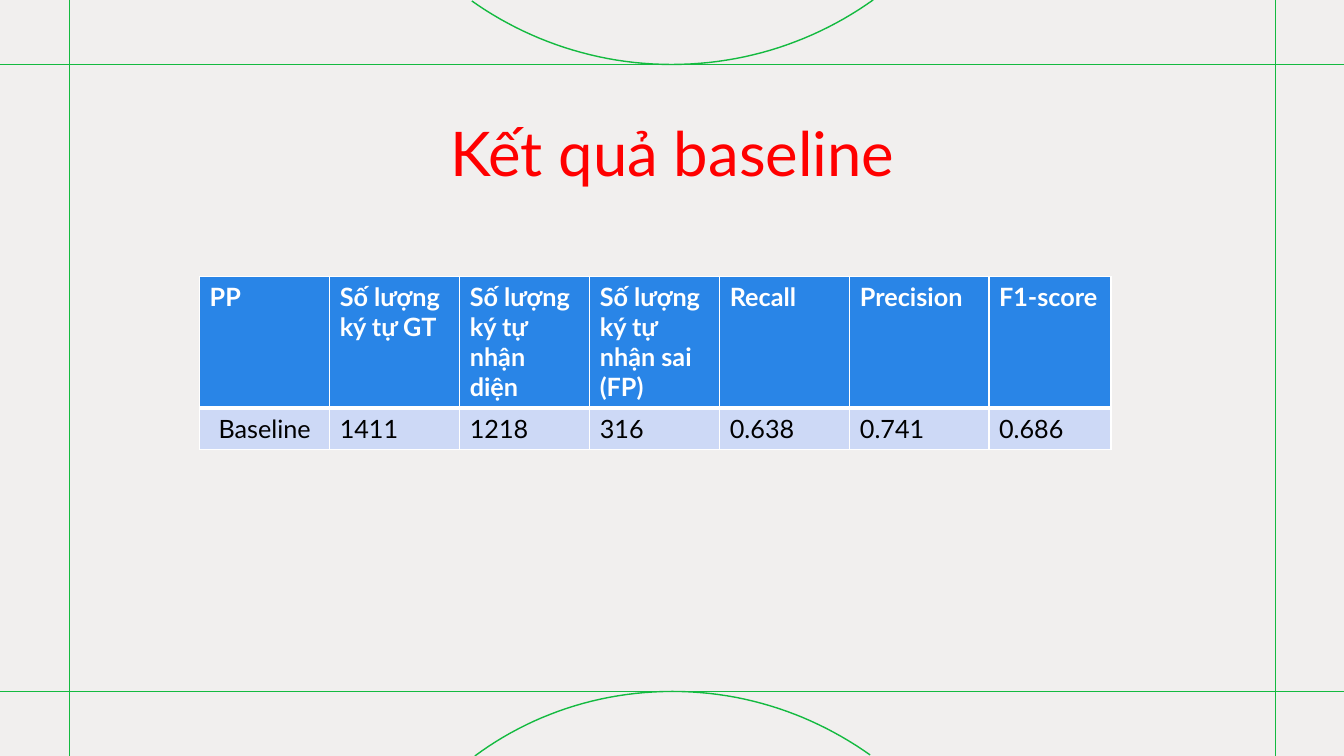
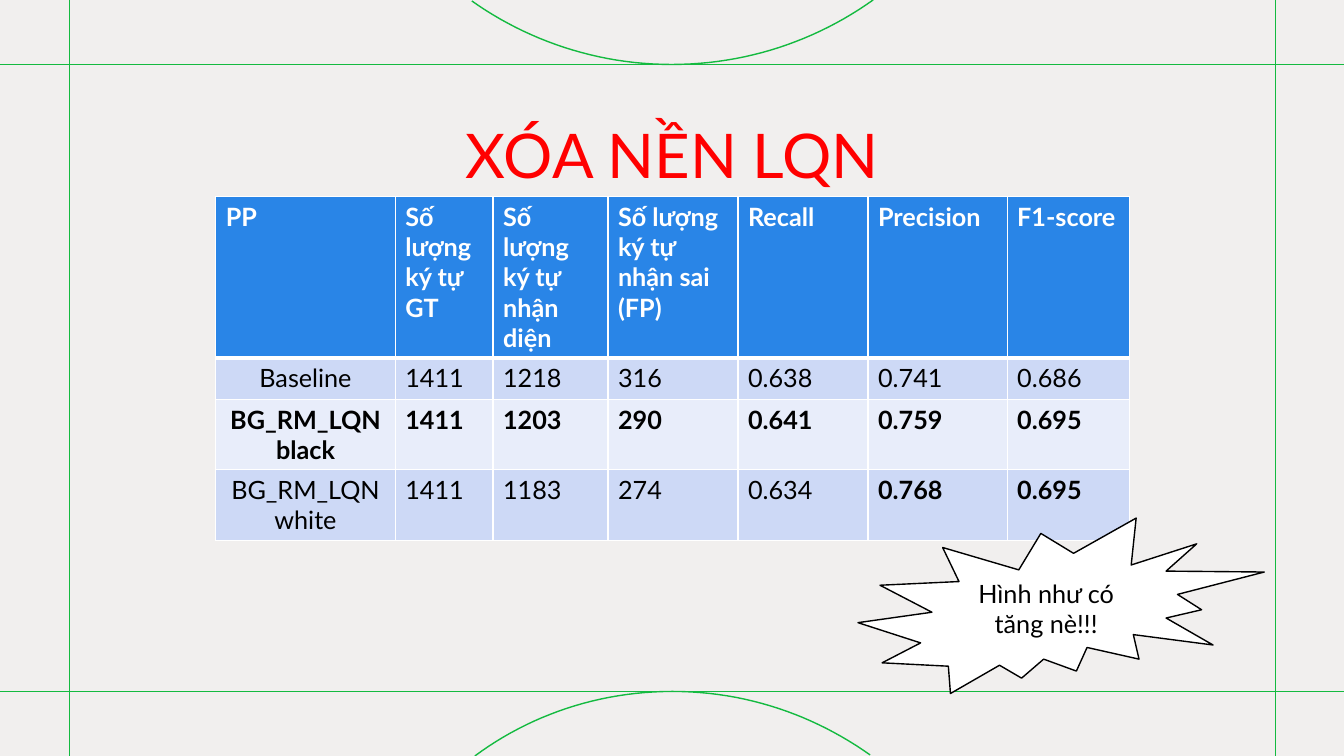
from lxml import etree
from pptx import Presentation
from pptx.dml.color import RGBColor
from pptx.enum.shapes import MSO_CONNECTOR, MSO_SHAPE
from pptx.enum.text import MSO_ANCHOR, PP_ALIGN
from pptx.oxml.ns import qn
from pptx.util import Inches, Pt

PAPER = RGBColor(0xF1, 0xEF, 0xEE)
GREEN = RGBColor(0x14, 0xBA, 0x40)
RED = RGBColor(0xFF, 0x00, 0x00)
BLUE = RGBColor(0x29, 0x85, 0xE7)
BAND_DARK = RGBColor(0xCD, 0xD9, 0xF6)
BAND_LIGHT = RGBColor(0xE8, 0xED, 0xFA)
WHITE = RGBColor(0xFF, 0xFF, 0xFF)
BLACK = RGBColor(0x00, 0x00, 0x00)

FONT = "Lato"
WIDTH, HEIGHT = 13.33, 7.5
FRAME_LEFT, FRAME_RIGHT = 0.69, 12.65
FRAME_TOP, FRAME_BOTTOM = 0.64, 6.86
TOP_ARC = [
    [(4.68, 0.01), (5.23, 0.4), (5.92, 0.64), (6.66, 0.64)],
    [(6.66, 0.64), (7.41, 0.64), (8.1, 0.4), (8.66, 0)],
]
BOTTOM_ARC = [
    [(8.63, 7.49), (8.08, 7.1), (7.41, 6.86), (6.67, 6.86)],
    [(6.67, 6.86), (5.93, 6.86), (5.25, 7.1), (4.71, 7.5)],
]
ARC_STEPS = 24

HEADER = ["PP", "Số lượng ký tự GT", "Số lượng ký tự nhận diện",
          "Số lượng ký tự nhận sai (FP)", "Recall", "Precision", "F1-score"]
BASELINE = ["Baseline", "1411", "1218", "316", "0.638", "0.741", "0.686"]
BLACK_BACKGROUND = ["BG_RM_LQN black", "1411", "1203", "290", "0.641", "0.759", "0.695"]
WHITE_BACKGROUND = ["BG_RM_LQN white", "1411", "1183", "274", "0.634", "0.768", "0.695"]


def write(frame, text, size=18, color=BLACK, bold=False,
          align=PP_ALIGN.LEFT, anchor=MSO_ANCHOR.TOP):
    frame.word_wrap = True
    frame.vertical_anchor = anchor
    para = frame.paragraphs[0]
    para.alignment = align
    span = para.add_run()
    span.text = text
    span.font.name = FONT
    span.font.size = Pt(size)
    span.font.bold = bold
    span.font.color.rgb = color


def bezier_points(curve):
    """Sample a cubic curve given by its four control points."""
    for step in range(ARC_STEPS + 1):
        t = step / ARC_STEPS
        weights = ((1 - t) ** 3, 3 * t * (1 - t) ** 2, 3 * t * t * (1 - t), t ** 3)
        yield tuple(Inches(sum(weight * point[axis] for weight, point in zip(weights, curve)))
                    for axis in (0, 1))


def set_borders(cell, top=1, bottom=1):
    """Draw white cell borders, widths in points."""
    properties = cell._tc.get_or_add_tcPr()
    widths = {"a:lnL": 1, "a:lnR": 1, "a:lnT": top, "a:lnB": bottom}
    for index, (side, width) in enumerate(widths.items()):
        line = etree.Element(qn(side), w=str(Pt(width)))
        fill = etree.SubElement(line, qn("a:solidFill"))
        etree.SubElement(fill, qn("a:srgbClr"), val=str(WHITE))
        properties.insert(index, line)


class SlideBuilder:
    def __init__(self, deck):
        self.deck = deck
        self.slide = None

    def start(self, title, title_top):
        self.slide = self.deck.slides.add_slide(self.deck.slide_layouts[6])
        fill = self.slide.background.fill
        fill.solid()
        fill.fore_color.rgb = PAPER
        for y in (FRAME_BOTTOM, FRAME_TOP):
            self.line(0, y, WIDTH, y)
        for x in (FRAME_RIGHT, FRAME_LEFT):
            self.line(x, HEIGHT, x, 0)
        for curves in (TOP_ARC, BOTTOM_ARC):
            self.arc(curves)
        self.title(title, title_top)

    def line(self, x1, y1, x2, y2):
        connector = self.slide.shapes.add_connector(
            MSO_CONNECTOR.STRAIGHT, Inches(x1), Inches(y1), Inches(x2), Inches(y2))
        connector.line.color.rgb = GREEN
        connector.line.width = Pt(1)
        etree.SubElement(connector._element.spPr, qn("a:effectLst"))

    def arc(self, curves):
        points = [point for curve in curves for point in bezier_points(curve)]
        builder = self.slide.shapes.build_freeform(*points[0])
        builder.add_line_segments(points[1:], close=False)
        shape = builder.convert_to_shape()
        shape.shadow.inherit = False
        shape.fill.background()
        shape.line.color.rgb = GREEN
        shape.line.width = Pt(1)

    def title(self, text, top):
        box = self.slide.shapes.add_textbox(Inches(0.92), Inches(top), Inches(11.5), Inches(1.45))
        write(box.text_frame, text, size=44, color=RED,
              align=PP_ALIGN.CENTER, anchor=MSO_ANCHOR.MIDDLE)

    def table(self, left, top, widths, heights, rows, bold_cells=()):
        """Add a results table; bold_cells holds (row, column) pairs."""
        table = self.slide.shapes.add_table(
            len(rows), len(widths), Inches(left), Inches(top),
            Inches(sum(widths)), Inches(sum(heights))).table
        for column, width in zip(table.columns, widths):
            column.width = Inches(width)
        for r, (values, height) in enumerate(zip(rows, heights)):
            table.rows[r].height = Inches(height)
            is_header = r == 0
            band = BLUE if is_header else BAND_DARK if r % 2 else BAND_LIGHT
            for c, value in enumerate(values):
                cell = table.cell(r, c)
                cell.fill.solid()
                cell.fill.fore_color.rgb = band
                set_borders(cell, top=3 if r == 1 else 1, bottom=3 if is_header else 1)
                write(cell.text_frame, value,
                      color=WHITE if is_header else BLACK,
                      bold=is_header or (r, c) in bold_cells,
                      align=PP_ALIGN.LEFT if is_header or c else PP_ALIGN.CENTER)

    def burst(self, left, top, width, height, text):
        shape = self.slide.shapes.add_shape(
            MSO_SHAPE.EXPLOSION2, Inches(left), Inches(top), Inches(width), Inches(height))
        shape.shadow.inherit = False
        shape.fill.solid()
        shape.fill.fore_color.rgb = WHITE
        shape.line.color.rgb = BLACK
        shape.line.width = Pt(1)
        write(shape.text_frame, text, align=PP_ALIGN.CENTER, anchor=MSO_ANCHOR.MIDDLE)


def main():
    deck = Presentation()
    deck.slide_width, deck.slide_height = Inches(WIDTH), Inches(HEIGHT)
    builder = SlideBuilder(deck)

    builder.start("Kết quả baseline", 0.78)
    builder.table(1.98, 2.74, [1.29] * 5 + [1.38, 1.21], [1.31, 0.41], [HEADER, BASELINE])

    builder.start("XÓA NỀN LQN", 0.8)
    best_row = {(2, column) for column in range(len(HEADER))}
    builder.table(2.14, 1.95, [1.78, 0.97, 1.14, 1.29, 1.29, 1.38, 1.21],
                  [1.6, 0.41, 0.7, 0.7],
                  [HEADER, BASELINE, BLACK_BACKGROUND, WHITE_BACKGROUND],
                  bold_cells=best_row | {(3, 5), (3, 6)})
    builder.burst(8.51, 5.14, 4.03, 1.74, "Hình như có tăng nè!!!")

    deck.save("out.pptx")


if __name__ == "__main__":
    main()
